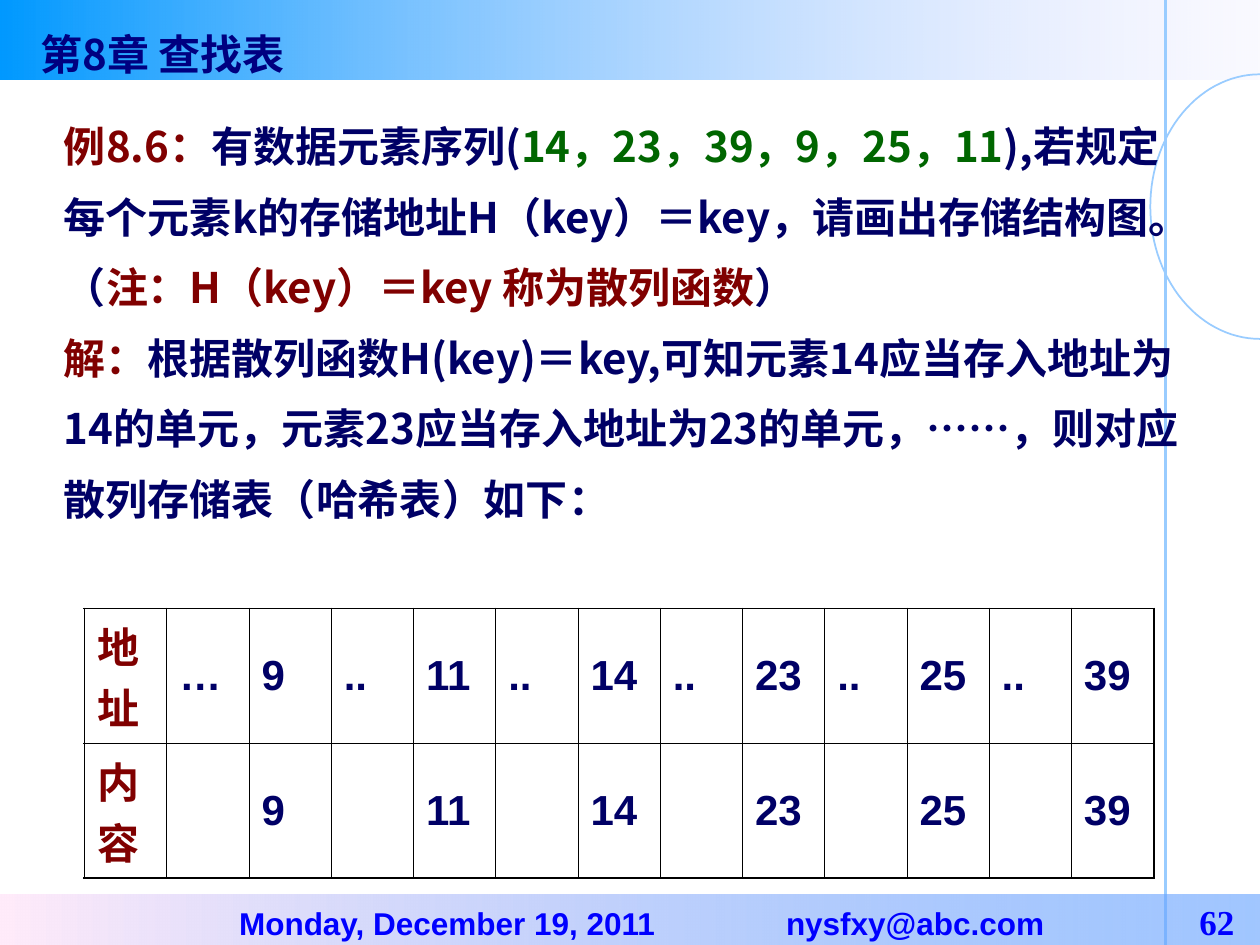
import math
from dataclasses import dataclass

from lxml import etree
from pptx import Presentation
from pptx import util as u
from pptx.dml.color import RGBColor
from pptx.enum import shapes, text
from pptx.oxml.ns import qn

COLORS = {
    "title": "000080", "body": "000066", "accent": "800000", "number": "006600",
    "footer": "0000FF", "rule": "99CCFF", "border": "000000",
    "top_start": "0099FF", "top_end": "CCCCFF",
    "bottom_start": "FFEBFA", "bottom_end": "5E9EFF",
}
CJK_FONT = "Noto Sans CJK SC"
THIN, THICK = u.Pt(0.45), u.Pt(1.2)


@dataclass
class Band:
    top: float
    height: float
    start: str
    end: str
    end_opacity: int


@dataclass
class Span:
    text: str
    color: str = "body"


TOP_BAND = Band(0, 0.63, "top_start", "top_end", 10)
BOTTOM_BAND = Band(7.1, 0.43, "bottom_start", "bottom_end", 58)
FOOTER_TABS = (1.8, 6.14, 9.42)

PARAGRAPHS = [
    [Span("例8.6：", "accent"), Span("有数据元素序列("),
     Span("14，23，39，9，25，11", "number"),
     Span("),若规定每个元素k的存储地址H（key）＝key，请画出存储结构图。")],
    [Span("（"), Span("注：H（key）＝key 称为散列函数", "accent"), Span("）")],
    [Span("解：", "accent"),
     Span("根据散列函数H(key)＝key,可知元素14应当存入地址为14的单元，"
          "元素23应当存入地址为23的单元，……，则对应散列存储表（哈希表）如下：")],
]

KEYS = ["9", "11", "14", "23", "25", "39"]
ADDRESSES = ["地址", "…"] + "|..|".join(KEYS).split("|")
CONTENTS = ["内容", ""] + "||".join(KEYS).split("|")


def rgb(name: str) -> RGBColor:
    return RGBColor.from_string(COLORS[name])


def set_font(paragraph, size: float, color: str, name: str = CJK_FONT) -> None:
    font = paragraph.font
    font.size, font.bold, font.name = u.Pt(size), True, name
    font.color.rgb = rgb(color)
    properties = paragraph._p.pPr.find(qn("a:defRPr"))
    etree.SubElement(properties, qn("a:ea")).set("typeface", CJK_FONT)


def add_band(slide, band: Band):
    shape = slide.shapes.add_shape(
        shapes.MSO_SHAPE.RECTANGLE, 0, u.Inches(band.top), u.Inches(10), u.Inches(band.height))
    shape.shadow.inherit = False
    shape.line.fill.background()
    shape.fill.gradient()
    shape.fill.gradient_angle = 0
    for stop, position, color in zip(shape.fill.gradient_stops, (0, 1), (band.start, band.end)):
        stop.position = position
        stop.color.rgb = rgb(color)
    end_color = list(shape._element.spPr.iter(qn("a:srgbClr")))[-1]
    etree.SubElement(end_color, qn("a:alpha")).set("val", str(band.end_opacity * 1000))
    return shape


def add_half_circle(slide) -> None:
    points = [(u.Inches(10 + 0.87 * math.cos(angle)), u.Inches(1.64 + 1.05 * math.sin(angle)))
              for angle in (math.radians(degrees) for degrees in range(90, 271, 3))]
    builder = slide.shapes.build_freeform(*points[0])
    builder.add_line_segments(points[1:], close=False)
    shape = builder.convert_to_shape()
    shape.shadow.inherit = False
    shape.fill.background()
    shape.line.color.rgb = rgb("rule")
    shape.line.width = u.Pt(1)


def add_rule(slide) -> None:
    line = slide.shapes.add_connector(
        shapes.MSO_CONNECTOR.STRAIGHT, u.Inches(9.25), 0, u.Inches(9.25), u.Inches(7.5))
    line.line.color.rgb = rgb("rule")
    line.line.width = u.Pt(1.5)
    etree.SubElement(line._element.spPr, qn("a:effectLst"))


def add_footer(slide) -> None:
    frame = add_band(slide, BOTTOM_BAND).text_frame
    frame.vertical_anchor = text.MSO_ANCHOR.MIDDLE
    paragraph = frame.paragraphs[0]
    paragraph.alignment = text.PP_ALIGN.LEFT
    tabs = etree.SubElement(paragraph._p.get_or_add_pPr(), qn("a:tabLst"))
    for position in FOOTER_TABS:
        etree.SubElement(tabs, qn("a:tab"), pos=str(u.Inches(position)), algn="l")
    set_font(paragraph, 18, "footer", "Arial")
    paragraph.add_run().text = "\tMonday, December 19, 2011\tnysfxy@abc.com\t"
    number = paragraph.add_run()
    number.text = "62"
    number.font.size, number.font.name = u.Pt(20), "Times New Roman"


def set_title(slide) -> None:
    title = slide.shapes.title
    title.left, title.top = u.Inches(0.22), u.Inches(0.18)
    title.width, title.height = u.Inches(2.33), u.Inches(0.34)
    frame = title.text_frame
    frame.text = "第8章 查找表"
    frame.word_wrap = False
    frame.vertical_anchor = text.MSO_ANCHOR.TOP
    paragraph = frame.paragraphs[0]
    paragraph.alignment = text.PP_ALIGN.LEFT
    set_font(paragraph, 24, "title")


def add_body(slide) -> None:
    box = slide.shapes.add_textbox(u.Inches(0.41), u.Inches(0.75), u.Inches(9.17), u.Inches(3.5))
    frame = box.text_frame
    frame.word_wrap = True
    for index, spans in enumerate(PARAGRAPHS):
        paragraph = frame.add_paragraph() if index else frame.paragraphs[0]
        paragraph.line_spacing = 1.4
        set_font(paragraph, 24, "body")
        for span in spans:
            run = paragraph.add_run()
            run.text = span.text
            run.font.color.rgb = rgb(span.color)


def set_border(cell, side: str, width: int) -> None:
    line = etree.SubElement(cell._tc.get_or_add_tcPr(), qn(f"a:ln{side}"), w=str(width))
    fill = etree.SubElement(line, qn("a:solidFill"))
    etree.SubElement(fill, qn("a:srgbClr"), val=COLORS["border"])


def add_hash_table(slide) -> None:
    rows = [ADDRESSES, CONTENTS]
    last_row, last_column = len(rows) - 1, len(ADDRESSES) - 1
    table = slide.shapes.add_table(len(rows), len(ADDRESSES), u.Inches(0.67), u.Inches(4.83),
                                   u.Inches(8.49), u.Inches(2.14)).table
    table.first_row = table.horz_banding = False
    for r, values in enumerate(rows):
        for c, value in enumerate(values):
            cell = table.cell(r, c)
            cell.vertical_anchor = text.MSO_ANCHOR.MIDDLE
            outer = {"L": c == 0, "R": c == last_column, "T": r == 0, "B": r == last_row}
            for side, is_outer in outer.items():
                set_border(cell, side, THICK if is_outer else THIN)
            cell.fill.background()
            cell.text = value
            set_font(cell.text_frame.paragraphs[0], 24, "body" if c else "accent", "Arial")


def main() -> None:
    presentation = Presentation()
    presentation.slide_width, presentation.slide_height = u.Inches(10), u.Inches(7.5)
    slide = presentation.slides.add_slide(presentation.slide_layouts[5])

    # Background decoration
    add_band(slide, TOP_BAND)
    add_half_circle(slide)
    add_rule(slide)
    add_footer(slide)

    # The title sits above the top band
    set_title(slide)
    slide.shapes._spTree.append(slide.shapes.title._element)

    # Example text and its hash table
    add_body(slide)
    add_hash_table(slide)
    presentation.save("out.pptx")


if __name__ == "__main__":
    main()
